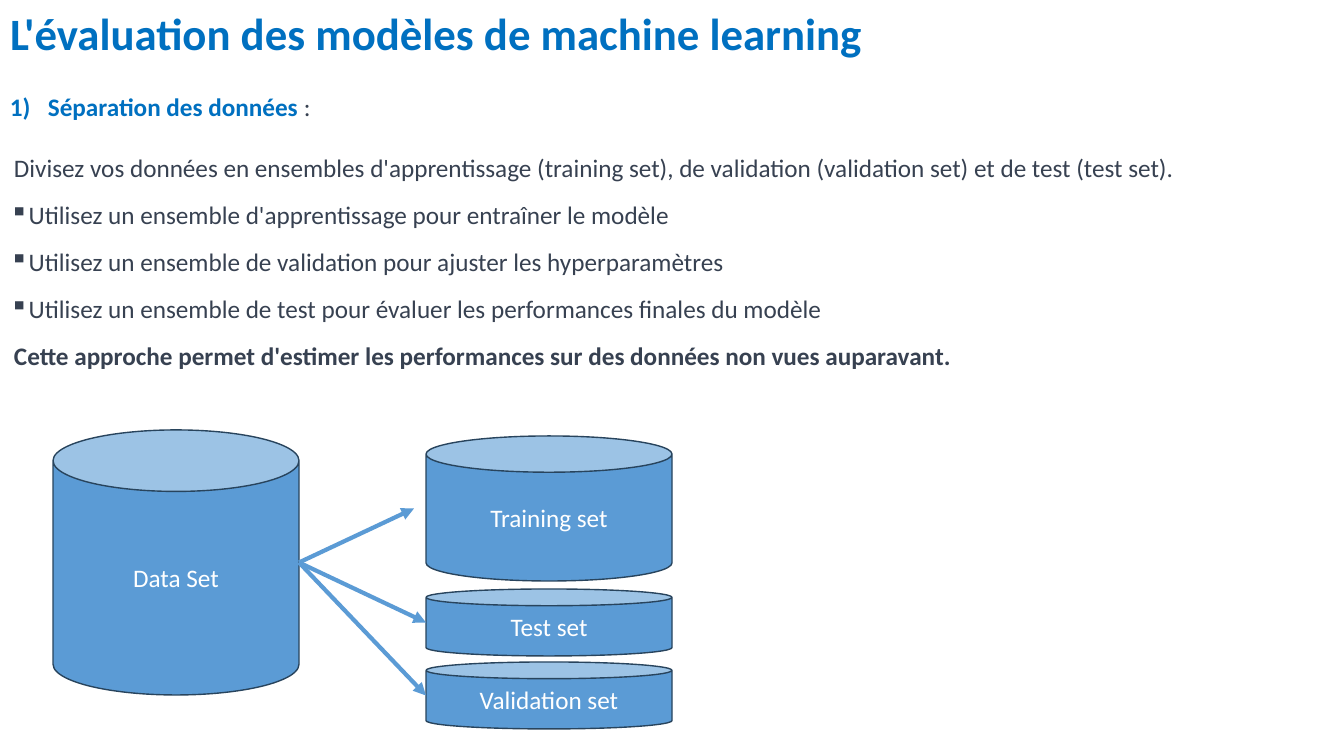
from lxml import etree
from pptx import Presentation
from pptx.dml.color import RGBColor
from pptx.enum.shapes import MSO_CONNECTOR, MSO_SHAPE
from pptx.enum.text import MSO_ANCHOR, MSO_AUTO_SIZE, PP_ALIGN
from pptx.oxml.ns import qn
from pptx.util import Emu, Pt

STRAIGHT, CAN = MSO_CONNECTOR.STRAIGHT, MSO_SHAPE.CAN
TOP, MIDDLE = MSO_ANCHOR.TOP, MSO_ANCHOR.MIDDLE
LEFT, CENTER = PP_ALIGN.LEFT, PP_ALIGN.CENTER
NO_FIT = MSO_AUTO_SIZE.NONE

# Content
FONT = "Calibri"
COLORS = {"heading": "0070C0", "body": "374151", "can": "5B9BD5",
          "outline": "28445D", "label": "FFFFFF"}
SLIDE_W, SLIDE_H = 1344, 756
EMU_PER_PX = 12192000 / SLIDE_W

TITLE = "L'évaluation des modèles de machine learning"
TITLE_BOX = (0, 1, SLIDE_W, 65)
BODY_BOX = (0, 86, SLIDE_W, 293)

NUMBER = ("buAutoNum", {"type": "arabicParenR"})
SQUARE = ("buChar", {"char": "▪"})
# runs (text, color, bold), level, left margin px, indent px, space after pt, bullet
PARAGRAPHS = [
    ([("Séparation des données", "heading", True), (" :", "body", False)],
     0, 38, -38, 22, NUMBER),
    ([("Divisez vos données en ensembles d'apprentissage (training set), "
       "de validation (validation set) et de test (test set).", "body", False)],
     0, 4, 0, 12, None),
    *[([(step, "body", False)], 1, 4, -31, 12, SQUARE) for step in (
        "Utilisez un ensemble d'apprentissage pour entraîner le modèle",
        "Utilisez un ensemble de validation pour ajuster les hyperparamètres",
        "Utilisez un ensemble de test pour évaluer les performances finales du modèle",
    )],
    ([("Cette approche permet d'estimer les performances sur des données "
       "non vues auparavant.", "body", True)], 1, 4, 0, 12, None),
]

CAN_W = 246
DATA_SET = ("Data Set", 53, 430, 265)  # label, left, top, height
SUBSETS_LEFT = 426
SUBSETS = [  # label, top, height, gap before the can at the arrow tip
    ("Training set", 436, 145, 12),
    ("Test set", 589, 67, 0),
    ("Validation set", 662, 67, 0),
]


def px(length):
    return Emu(round(length * EMU_PER_PX))


def rgb(name):
    return RGBColor.from_string(COLORS[name])


def place(shape, box):
    shape.left, shape.top, shape.width, shape.height = map(px, box)


def add_run(paragraph, text, color, size=18, bold=False):
    run = paragraph.add_run()
    run.text = text
    run.font.name, run.font.size, run.font.bold = FONT, Pt(size), bold
    run.font.color.rgb = rgb(color)


def add_can(slide, label, left, top, height):
    can = slide.shapes.add_shape(CAN, *map(px, (left, top, CAN_W, height)))
    can.shadow.inherit = False
    can.fill.solid()
    can.fill.fore_color.rgb = rgb("can")
    can.line.color.rgb = rgb("outline")
    can.line.width = Pt(1)
    can.text_frame.word_wrap = True
    can.text_frame.vertical_anchor = MIDDLE
    paragraph = can.text_frame.paragraphs[0]
    paragraph.alignment = CENTER
    add_run(paragraph, label, "label")


def add_arrow(slide, start, end):
    arrow = slide.shapes.add_connector(STRAIGHT, *map(px, (*start, *end)))
    arrow.line.color.rgb = rgb("can")
    arrow.line.width = Pt(3)
    etree.SubElement(arrow.line._get_or_add_ln(), qn("a:tailEnd"), type="triangle")
    etree.SubElement(arrow._element.spPr, qn("a:effectLst"))


def main():
    deck = Presentation()
    deck.slide_width, deck.slide_height = px(SLIDE_W), px(SLIDE_H)
    slide = deck.slides.add_slide(deck.slide_layouts[5])

    # Title
    title = slide.shapes.title
    place(title, TITLE_BOX)
    title.text_frame.auto_size = NO_FIT
    title.text_frame.vertical_anchor = TOP
    heading = title.text_frame.paragraphs[0]
    heading.alignment = LEFT
    heading.line_spacing, heading.space_before = 1.0, Pt(0)
    add_run(heading, TITLE, "heading", 32, True)

    # Explanation
    body = slide.shapes.add_textbox(*map(px, BODY_BOX)).text_frame
    body.word_wrap = True
    for i, (runs, level, margin, indent, after, bullet) in enumerate(PARAGRAPHS):
        paragraph = body.add_paragraph() if i else body.paragraphs[0]
        paragraph.level = level
        paragraph.space_after = Pt(after)
        props = paragraph._p.get_or_add_pPr()
        props.set("marL", str(px(margin)))
        props.set("indent", str(px(indent)))
        if bullet:
            tag, attributes = bullet
            etree.SubElement(props, qn(f"a:{tag}"), attributes)
        for text, color, bold in runs:
            add_run(paragraph, text, color, bold=bold)

    # Data set split into three subsets
    add_can(slide, *DATA_SET)
    _, data_left, data_top, data_height = DATA_SET
    split_point = (data_left + CAN_W, data_top + data_height / 2)
    for label, top, height, gap in SUBSETS:
        add_can(slide, label, SUBSETS_LEFT, top, height)
        add_arrow(slide, split_point, (SUBSETS_LEFT - gap, top + height / 2))

    deck.save("out.pptx")


if __name__ == "__main__":
    main()
